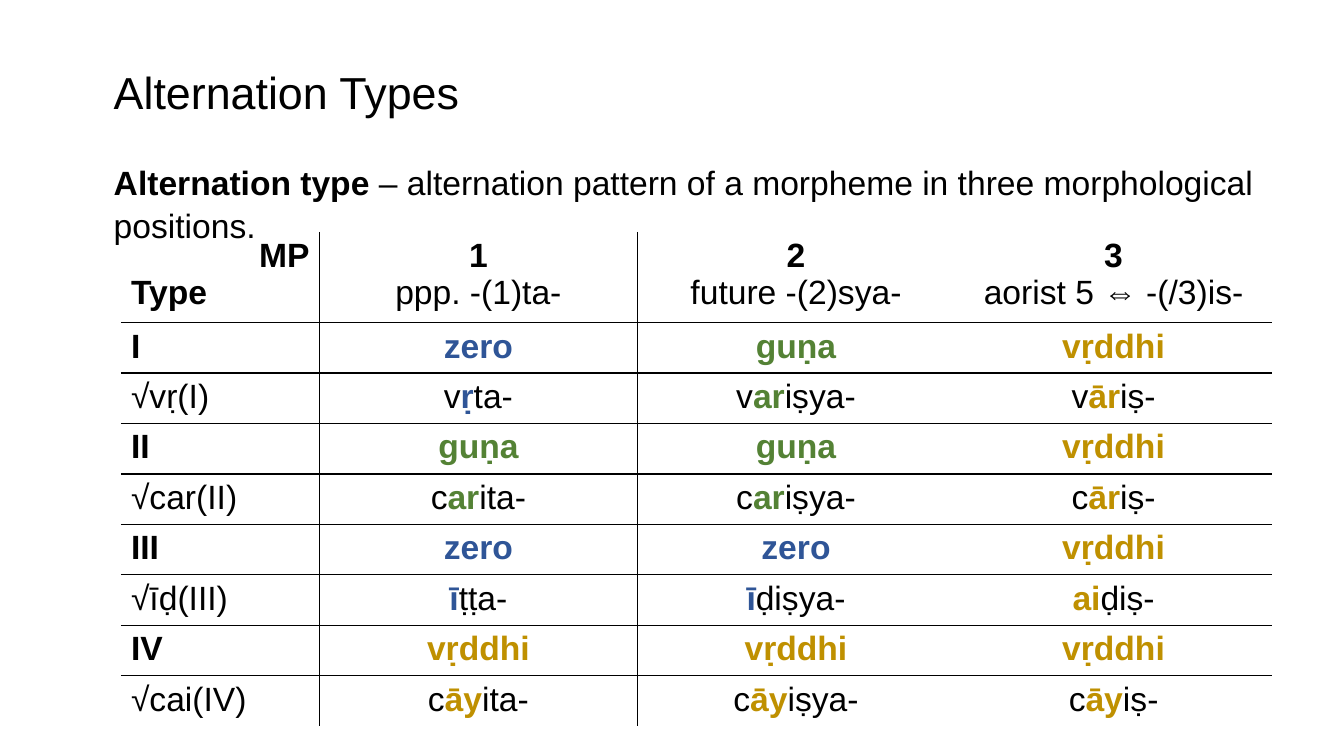
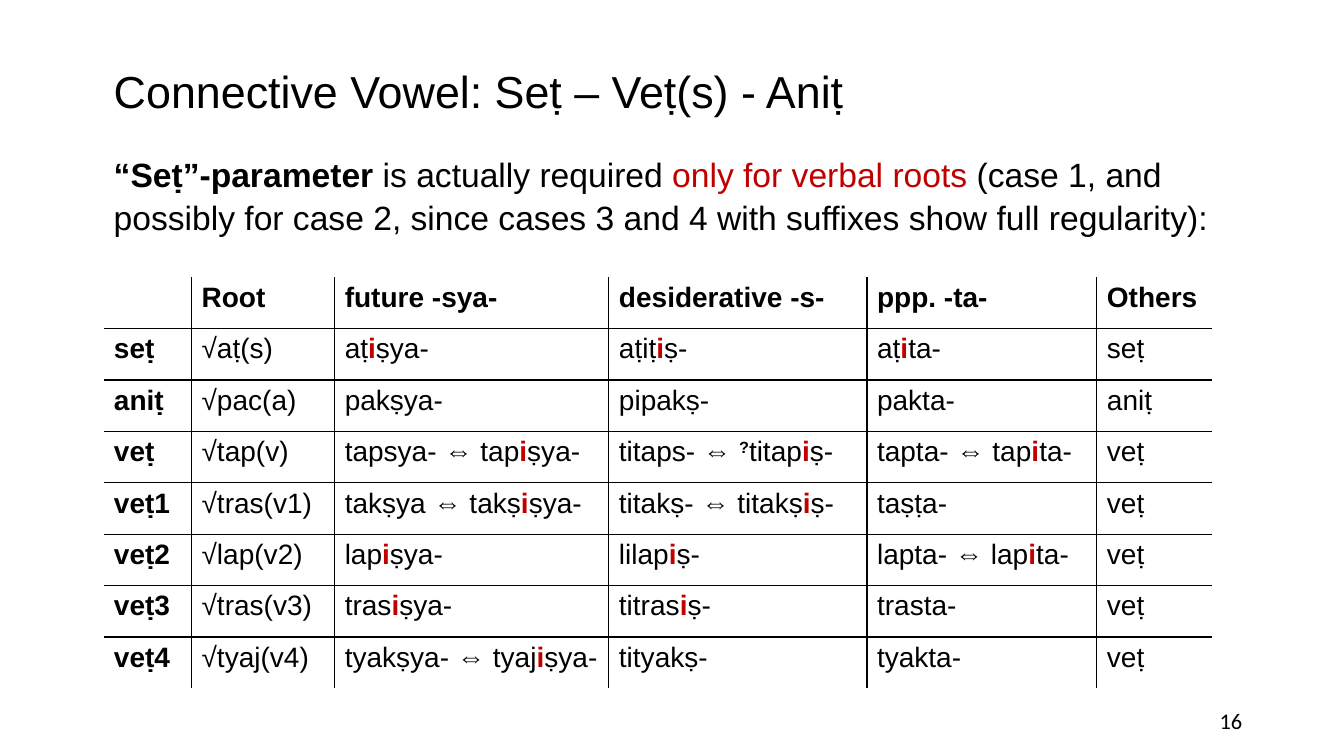
from lxml import etree
from pptx import Presentation
from pptx import util as u
from pptx.dml.color import RGBColor
from pptx.enum import text
from pptx.oxml import ns

COLORS = {"black": "000000", "blue": "2F5597", "green": "548235", "gold": "BF9000", "red": "C00000"}
STYLES = {
    "bold": {"bold": True},
    "blue": {"bold": True, "color": "blue"},
    "green": {"bold": True, "color": "green"},
    "gold": {"bold": True, "color": "gold"},
    "red": {"bold": True, "color": "red"},
    "plain red": {"color": "red"},
    "raised": {"bold": True, "raised": True},
}
LEFT, RIGHT, CENTER = text.PP_ALIGN.LEFT, text.PP_ALIGN.RIGHT, text.PP_ALIGN.CENTER
NO_STYLE = "{2D5ABB26-0587-4C30-8999-92F81FD0307C}"

TYPE_ROWS = [
    ["{bold|MP}\n{bold|Type}", "{bold|1}\nppp. -(1)ta-", "{bold|2}\nfuture -(2)sya-", "{bold|3}\naorist 5 ⇔ -(/3)is-"],
    ["{bold|I}", "{blue|zero}", "{green|guṇa}", "{gold|vṛddhi}"],
    ["√vṛ(I)", "v{blue|ṛ}ta-", "v{green|ar}iṣya-", "v{gold|ār}iṣ-"],
    ["{bold|II}", "{green|guṇa}", "{green|guṇa}", "{gold|vṛddhi}"],
    ["√car(II)", "c{green|ar}ita-", "c{green|ar}iṣya-", "c{gold|ār}iṣ-"],
    ["{bold|III}", "{blue|zero}", "{blue|zero}", "{gold|vṛddhi}"],
    ["√īḍ(III)", "{blue|ī}ṭṭa-", "{blue|ī}ḍiṣya-", "{gold|ai}ḍiṣ-"],
    ["{bold|IV}", "{gold|vṛddhi}", "{gold|vṛddhi}", "{gold|vṛddhi}"],
    ["√cai(IV)", "c{gold|āy}ita-", "c{gold|āy}iṣya-", "c{gold|āy}iṣ-"],
]
VOWEL_ROWS = [
    ["", "{bold|Root}", "{bold|future -sya-}", "{bold|desiderative -s-}", "{bold|ppp. -ta-}", "{bold|Others}"],
    ["{bold|seṭ}", "√aṭ(s)", "aṭ{red|i}ṣya-", "aṭiṭ{red|i}ṣ-", "aṭ{red|i}ta-", "seṭ"],
    ["{bold|aniṭ}", "√pac(a)", "pakṣya-", "pipakṣ-", "pakta-", "aniṭ"],
    ["{bold|veṭ}", "√tap(v)", "tapsya- {bold|⇔} tap{red|i}ṣya-",
     "titaps- {bold|⇔ }{raised|?}titap{red|i}ṣ-", "tapta- {bold|⇔} tap{red|i}ta-", "veṭ"],
    ["{bold|veṭ1}", "√tras(v1)", "takṣya {bold|⇔} takṣ{red|i}ṣya-",
     "titakṣ- {bold|⇔} titakṣ{red|i}ṣ-", "taṣṭa-", "veṭ"],
    ["{bold|veṭ2}", "√lap(v2)", "lap{red|i}ṣya-", "lilap{red|i}ṣ-", "lapta- {bold|⇔} lap{red|i}ta-", "veṭ"],
    ["{bold|veṭ3}", "√tras(v3)", "tras{red|i}ṣya-", "titras{red|i}ṣ-", "trasta-", "veṭ"],
    ["{bold|veṭ4}", "√tyaj(v4)", "tyakṣya- {bold|⇔} tyaj{red|i}ṣya-", "tityakṣ-", "tyakta-", "veṭ"],
]


def add_span(para, words, size, font="Arial", bold=False, color="black", raised=False):
    """Append one formatted run to a paragraph."""
    span = para.add_run()
    span.text = words
    span.font.size, span.font.name, span.font.bold = u.Pt(size), font, bold
    span.font.color.rgb = RGBColor.from_string(COLORS[color])
    if raised:
        span.font._element.set("baseline", "30000")


def write_text(frame, content, size, font="Arial", aligns=(LEFT,), spacing=None):
    """Write lines of text in which {style|words} marks a styled run."""
    for index, line in enumerate(content.split("\n")):
        para = frame.paragraphs[0] if index == 0 else frame.add_paragraph()
        para.alignment = aligns[index % len(aligns)]
        if spacing:
            para.line_spacing = spacing
        start, *marked = line.split("{")
        if start:
            add_span(para, start, size, font)
        for piece in marked:
            style, rest = piece.split("|")
            words, after = rest.split("}")
            add_span(para, words, size, font, **STYLES[style])
            if after:
                add_span(para, after, size, font)


def add_text(page, content, left, top, width, height, anchor=text.MSO_ANCHOR.TOP,
             fit=text.MSO_AUTO_SIZE.SHAPE_TO_FIT_TEXT, **style):
    """Add a wrapping text box."""
    box = page.shapes.add_textbox(*map(u.Inches, (left, top, width, height)))
    box.text_frame.word_wrap = True
    box.text_frame.auto_size = fit
    box.text_frame.vertical_anchor = anchor
    write_text(box.text_frame, content, **style)


def add_heading(page, title, title_top, intro, intro_top):
    """Add the slide title and the introductory sentence."""
    add_text(page, title, 1.03, title_top, 11.9, 0.64, size=32, spacing=1.07)
    add_text(page, intro, 1.03, intro_top, 11.66, 0.91, size=24, spacing=1.07)


def add_border(cell, side):
    """Draw a thin black line on one side of a cell."""
    line = etree.SubElement(cell._tc.get_or_add_tcPr(), ns.qn(f"a:ln{side}"), w=str(u.Pt(1)))
    fill = etree.SubElement(line, ns.qn("a:solidFill"))
    etree.SubElement(fill, ns.qn("a:srgbClr"), val=COLORS["black"])


def add_grid(page, rows, left, top, widths, heights, size, row_rules, column_rules, align_cell):
    """Add an unfilled table with rules after the given rows and columns."""
    frame = page.shapes.add_table(len(rows), len(widths), *map(u.Inches, (left, top, sum(widths), sum(heights))))
    table = frame.table
    table.first_row = table.horz_banding = False
    table._tbl.tblPr.find(ns.qn("a:tableStyleId")).text = NO_STYLE
    for column, width in zip(table.columns, widths):
        column.width = u.Inches(width)
    for row, height in zip(table.rows, heights):
        row.height = u.Inches(height)
    for r, contents in enumerate(rows):
        for c, content in enumerate(contents):
            cell = table.cell(r, c)
            ruled = {"L": c - 1 in column_rules, "R": c in column_rules,
                     "T": r - 1 in row_rules, "B": r in row_rules}
            for side in ruled:
                if ruled[side]:
                    add_border(cell, side)
            cell.fill.background()
            write_text(cell.text_frame, content, size, aligns=align_cell(r, c))


def align_type_cell(row, column):
    """Centre the forms and split the corner heading to both sides."""
    if column:
        return (CENTER,)
    return (LEFT,) if row else (RIGHT, LEFT)


def build_types(page):
    """Build the slide on alternation types."""
    add_heading(page, "Alternation Types", 0.56,
                "{bold|Alternation type }– alternation pattern of a morpheme in three morphological positions.", 1.53)
    add_grid(page, TYPE_ROWS, 1.2, 2.3, [1.97] + [3.15] * 3, [0.9] + [0.5] * 8, 24,
             range(0, 8, 2), [0], align_type_cell)


def build_vowels(page):
    """Build the slide on the connective vowel."""
    add_heading(page, "Connective Vowel: Seṭ – Veṭ(s) - Aniṭ", 0.55,
                "{bold|“Seṭ”-parameter }is actually required {plain red|only for verbal roots }(case 1, and "
                "possibly for case 2, since cases 3 and 4 with suffixes show full regularity):", 1.45)
    add_grid(page, VOWEL_ROWS, 1.03, 2.75, [0.87, 1.42, 2.72, 2.56, 2.28, 1.14], [0.51] * 8, 20,
             range(7), range(5), lambda row, column: (LEFT,))
    add_text(page, "16", 9.42, 6.95, 3, 0.4, anchor=text.MSO_ANCHOR.MIDDLE, fit=text.MSO_AUTO_SIZE.NONE,
             size=16, font="Calibri", aligns=(RIGHT,))


def main():
    """Build and save the deck."""
    deck = Presentation()
    deck.slide_width, deck.slide_height = u.Inches(13.33), u.Inches(7.5)
    for build in (build_types, build_vowels):
        build(deck.slides.add_slide(deck.slide_layouts[6]))
    deck.save("out.pptx")


if __name__ == "__main__":
    main()
